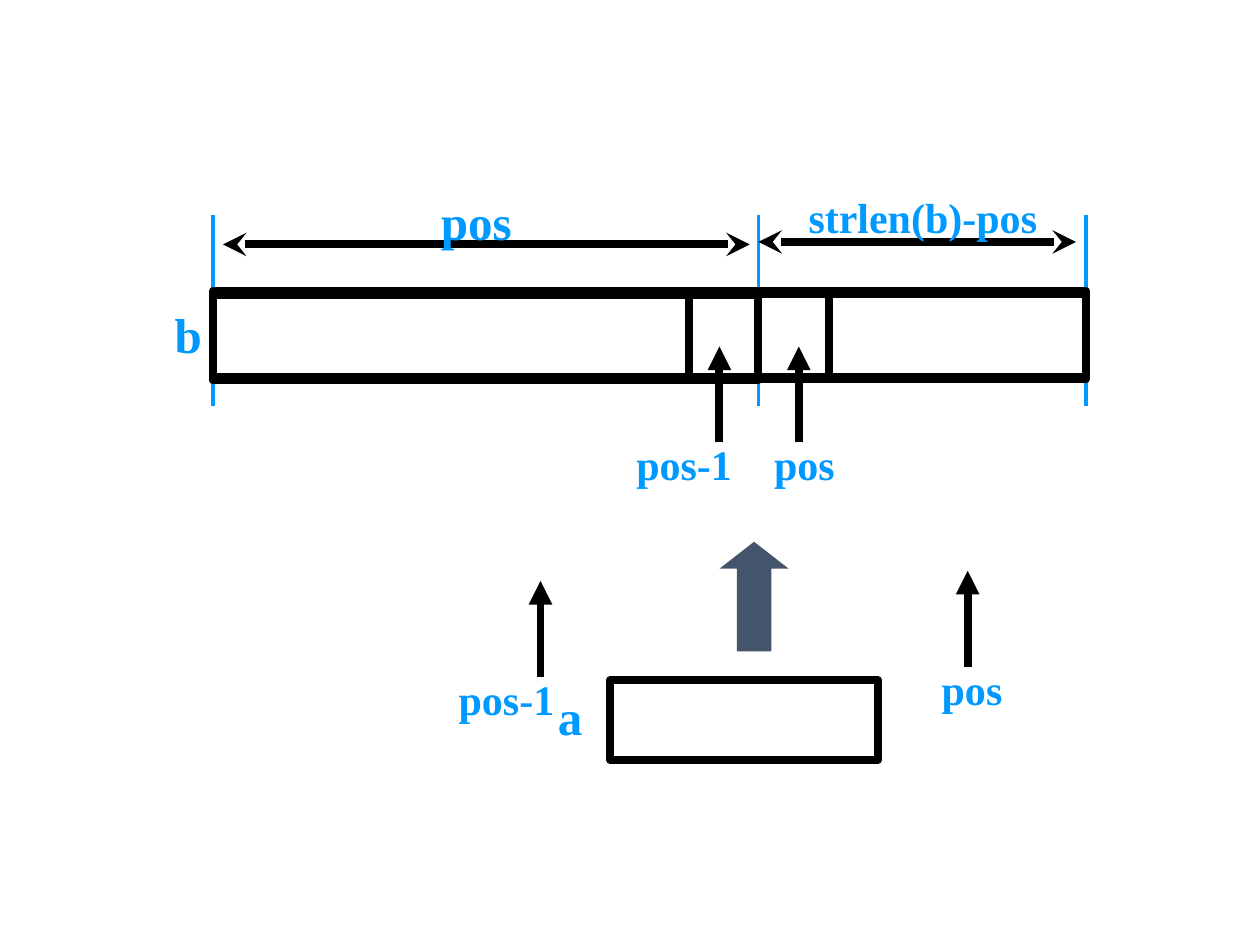
from lxml.etree import SubElement
from pptx import Presentation
from pptx.dml.color import RGBColor
from pptx.enum.shapes import MSO_CONNECTOR, MSO_SHAPE
from pptx.enum.text import PP_ALIGN
from pptx.oxml.ns import qn
from pptx.util import Inches, Pt

BLACK, BLUE, SLATE = "000000", "0099FF", "44546A"


def rgb(value):
    return RGBColor.from_string(value)


def add_line(x1, y1, x2, y2, color=BLACK, width=4.5, head=None, tail=None):
    c = s.shapes.add_connector(
        MSO_CONNECTOR.STRAIGHT, Inches(x1), Inches(y1), Inches(x2), Inches(y2))
    c.line.color.rgb = rgb(color)
    c.line.width = Pt(width)
    ln = c.line._get_or_add_ln()
    for tag, kind in (("a:headEnd", head), ("a:tailEnd", tail)):
        if kind:
            SubElement(ln, qn(tag), type=kind)
    SubElement(c._element.spPr, qn("a:effectLst"))


prs = Presentation()
prs.slide_width, prs.slide_height = Inches(10), Inches(7.5)
s = prs.slides.add_slide(prs.slide_layouts[6])

start, before, split, after, end = 1.69, 5.47, 6.02, 6.58, 8.62

for x in (start, split, end):
    add_line(x, 1.71, x, 3.22, BLUE, 2.25)

boxes = [
    (start, 2.31, end - start, 0.68),
    (start, 2.34, split - start, 0.68),
    (split, 2.33, end - split, 0.68),
    (4.84, 5.4, 2.13, 0.63),
]
for x, y, w, h in boxes:
    sp = s.shapes.add_shape(
        MSO_SHAPE.RECTANGLE, Inches(x), Inches(y), Inches(w), Inches(h))
    sp.shadow.inherit = False
    sp.fill.background()
    sp.line.color.rgb = rgb(BLACK)
    sp.line.width = Pt(4.5)

for x in (before, split, after):
    add_line(x, 2.31, x, 3.02)

for x1, x2, y in ((1.77, 5.95, 1.94), (split, 8.54, 1.92)):
    add_line(x1, y, x2, y, head="stealth", tail="stealth")

for x, y in ((5.71, 3.51), (6.34, 3.51), (4.29, 5.37), (7.68, 5.29)):
    add_line(x, y, x, y - 0.76, tail="triangle")

sp = s.shapes.add_shape(
    MSO_SHAPE.UP_ARROW, Inches(5.71), Inches(4.3), Inches(0.55), Inches(0.87))
sp.adjustments[0], sp.adjustments[1] = 0.5, 0.39
sp.shadow.inherit = False
sp.fill.solid()
sp.fill.fore_color.rgb = rgb(SLATE)
sp.line.fill.background()

labels = [
    ("pos", 3.03, 1.47, 1.5, 28),
    ("strlen(b)-pos", 6.26, 1.47, 2.13, 24),
    ("pos-1", 4.76, 3.43, 1.34, 24),
    ("pos", 5.95, 3.43, 0.87, 24),
    ("b", 1.06, 2.37, 0.87, 28),
    ("a", 4.13, 5.4, 0.79, 28),
    ("pos-1", 3.35, 5.3, 1.34, 24),
    ("pos", 7.28, 5.22, 0.87, 24),
]
for text, x, y, w, size in labels:
    h = 0.57 if size == 28 else 0.5
    tf = s.shapes.add_textbox(Inches(x), Inches(y), Inches(w), Inches(h)).text_frame
    tf.word_wrap = True
    tf.text = text
    p = tf.paragraphs[0]
    p.alignment = PP_ALIGN.CENTER
    r = p.runs[0]
    r.font.name = "Times New Roman"
    r.font.size = Pt(size)
    r.font.bold = True
    r.font.color.rgb = rgb(BLUE)

prs.save("out.pptx")
